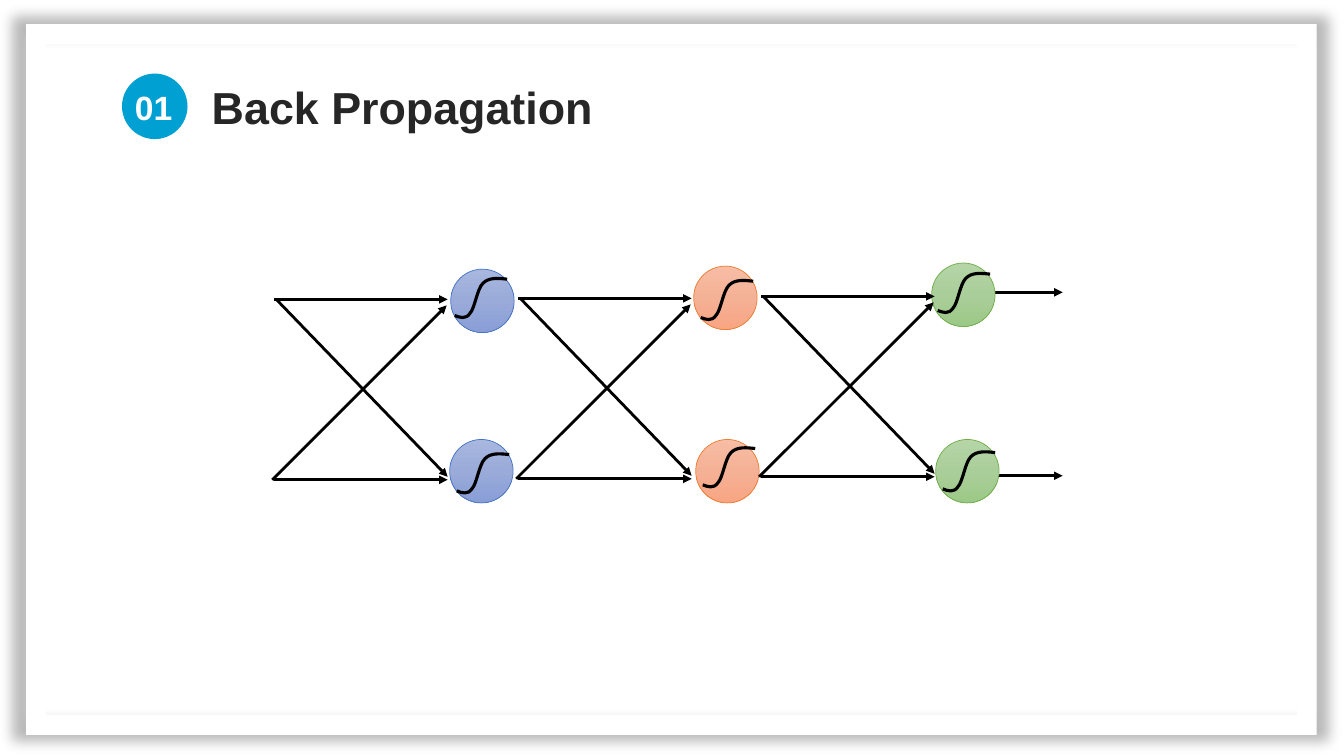
from copy import deepcopy
from dataclasses import dataclass

from lxml.etree import SubElement
from pptx import Presentation
from pptx.dml.color import RGBColor
from pptx.enum.shapes import MSO_CONNECTOR, MSO_SHAPE
from pptx.enum.text import MSO_ANCHOR, PP_ALIGN
from pptx.oxml.ns import qn
from pptx.util import Inches, Pt


@dataclass(frozen=True)
class Theme:
    font: str = "Arial"
    title_size: int = 32
    badge_size: int = 24
    title: str = "262626"
    badge: str = "00A1D2"
    white: str = "FFFFFF"
    black: str = "000000"
    # gradient top, middle and bottom, then outline
    blue: tuple = ("A8B7DF", "9AABD9", "889ED7", "4472C4")
    orange: tuple = ("F7BDA5", "F5B196", "F8A582", "ED7D31")
    green: tuple = ("B5D5A7", "AACE9A", "9CC987", "70AD47")


THEME = Theme()
NEURON_SIZE = 0.63

# Neuron corner, sigmoid corner and colours
NEURONS = [
    ((4.47, 2.67), (4.51, 2.76), THEME.blue),
    ((4.46, 4.36), (4.53, 4.5), THEME.blue),
    ((6.88, 2.64), (6.95, 2.78), THEME.orange),
    ((6.9, 4.36), (6.97, 4.44), THEME.orange),
    ((9.24, 2.61), (9.3, 2.71), THEME.green),
    ((9.28, 4.36), (9.35, 4.48), THEME.green),
]
LINK_ORIGINS = [(2.72, 2.97), (5.14, 2.96), (7.55, 2.94)]
LINKS = [
    ((-0.02, 1.79), (1.71, 0.06)),
    ((0.02, 0), (1.72, 1.76)),
    ((0, 1.79), (1.72, 1.79)),
    ((0, 0), (1.72, 0)),
]
OUTPUT_HEIGHTS = [4.72, 2.9]
# Start point, then three control points for each cubic curve
SIGMOID = [
    (0.52, 0.01),
    (0.43, 0), (0.34, -0.01), (0.28, 0.05),
    (0.22, 0.11), (0.2, 0.3), (0.15, 0.35),
    (0.11, 0.41), (0.05, 0.39), (0, 0.37),
]


def color(value):
    return RGBColor.from_string(value)


def add_preset(slide, preset, left, top, width, height, fill):
    shape = slide.shapes.add_shape(
        preset, Inches(left), Inches(top), Inches(width), Inches(height))
    shape.shadow.inherit = False
    shape.line.fill.background()
    shape.fill.solid()
    shape.fill.fore_color.rgb = color(fill)
    return shape


def add_frame(slide):
    frame = add_preset(slide, MSO_SHAPE.FRAME, 0.26, 0.24, 12.8, 7.05, THEME.white)
    frame.adjustments[0] = 0.028
    effects = frame._element.spPr.find(qn("a:effectLst"))
    shadow = SubElement(effects, qn("a:outerShdw"), blurRad=str(Pt(9)),
                        sx="102000", sy="102000", algn="ctr", rotWithShape="0")
    shade = SubElement(shadow, qn("a:srgbClr"), val=THEME.black)
    SubElement(shade, qn("a:alpha"), val="27000")


def set_text(shape, text, size, text_color):
    frame = shape.text_frame
    frame.word_wrap = True
    frame.vertical_anchor = MSO_ANCHOR.TOP
    frame.text = text
    paragraph = frame.paragraphs[0]
    paragraph.alignment = PP_ALIGN.LEFT
    paragraph.font.name = THEME.font
    paragraph.font.size = Pt(size)
    paragraph.font.bold = True
    paragraph.font.color.rgb = color(text_color)
    return paragraph


def add_heading(slide):
    title = slide.shapes.title
    title.left, title.top = Inches(2), Inches(0.63)
    title.width, title.height = Inches(4.14), Inches(0.75)
    paragraph = set_text(title, "Back Propagation", THEME.title_size, THEME.title)
    paragraph.line_spacing = 1.2
    add_preset(slide, MSO_SHAPE.OVAL, 1.21, 0.73, 0.65, 0.65, THEME.badge)
    number = slide.shapes.add_textbox(
        Inches(1.24), Inches(0.81), Inches(0.62), Inches(0.5))
    set_text(number, "01", THEME.badge_size, THEME.white)


def add_arrow(shapes, start, end):
    arrow = shapes.add_connector(
        MSO_CONNECTOR.STRAIGHT, *(Inches(value) for value in (*start, *end)))
    arrow.line.color.rgb = color(THEME.black)
    arrow.line.width = Pt(2)
    SubElement(arrow.line._get_or_add_ln(), qn("a:tailEnd"), type="triangle")
    SubElement(arrow._element.spPr, qn("a:effectLst"))


def add_links(slide, left, top):
    """Join two layers with one group of crossing arrows."""
    group = slide.shapes.add_group_shape()
    for (x1, y1), (x2, y2) in LINKS:
        add_arrow(group.shapes, (left + x1, top + y1), (left + x2, top + y2))


def add_neuron(slide, corner, colors):
    *stops, outline = colors
    neuron = add_preset(slide, MSO_SHAPE.OVAL, *corner,
                        NEURON_SIZE, NEURON_SIZE, stops[0])
    neuron.fill.gradient()
    neuron.fill.gradient_angle = 270
    stop_list = neuron._element.spPr.find(qn("a:gradFill")).find(qn("a:gsLst"))
    middle = deepcopy(stop_list[0])
    middle.set("pos", "50000")
    stop_list.insert(1, middle)
    for stop, value in zip(neuron.fill.gradient_stops, stops):
        stop.color.rgb = color(value)
    neuron.line.color.rgb = color(outline)
    neuron.line.width = Pt(0.5)


def lines_to_curves(shape):
    """Turn each three line segments of a freeform into one cubic curve."""
    outline = next(shape._element.iter(qn("a:path")))
    lines = outline.findall(qn("a:lnTo"))
    for first in range(0, len(lines), 3):
        curve = SubElement(outline, qn("a:cubicBezTo"))
        for line in lines[first:first + 3]:
            curve.append(line[0])
            outline.remove(line)


def add_sigmoid(slide, corner):
    left, top = corner
    points = [(Inches(left + x), Inches(top + y)) for x, y in SIGMOID]
    builder = slide.shapes.build_freeform(*points[0])
    builder.add_line_segments(points[1:], close=False)
    sigmoid = builder.convert_to_shape()
    lines_to_curves(sigmoid)
    sigmoid.shadow.inherit = False
    sigmoid.fill.background()
    sigmoid.line.color.rgb = color(THEME.black)
    sigmoid.line.width = Pt(2.25)


def main():
    presentation = Presentation()
    presentation.slide_width = Inches(13.33)
    presentation.slide_height = Inches(7.5)
    slide = presentation.slides.add_slide(presentation.slide_layouts[5])
    add_frame(slide)
    add_heading(slide)
    for height in OUTPUT_HEIGHTS:
        add_arrow(slide.shapes, (9.83, height), (10.54, height))
    for corner, _, colors in NEURONS:
        add_neuron(slide, corner, colors)
    for left, top in LINK_ORIGINS:
        add_links(slide, left, top)
    for _, corner, _ in NEURONS:
        add_sigmoid(slide, corner)
    presentation.save("out.pptx")


if __name__ == "__main__":
    main()
